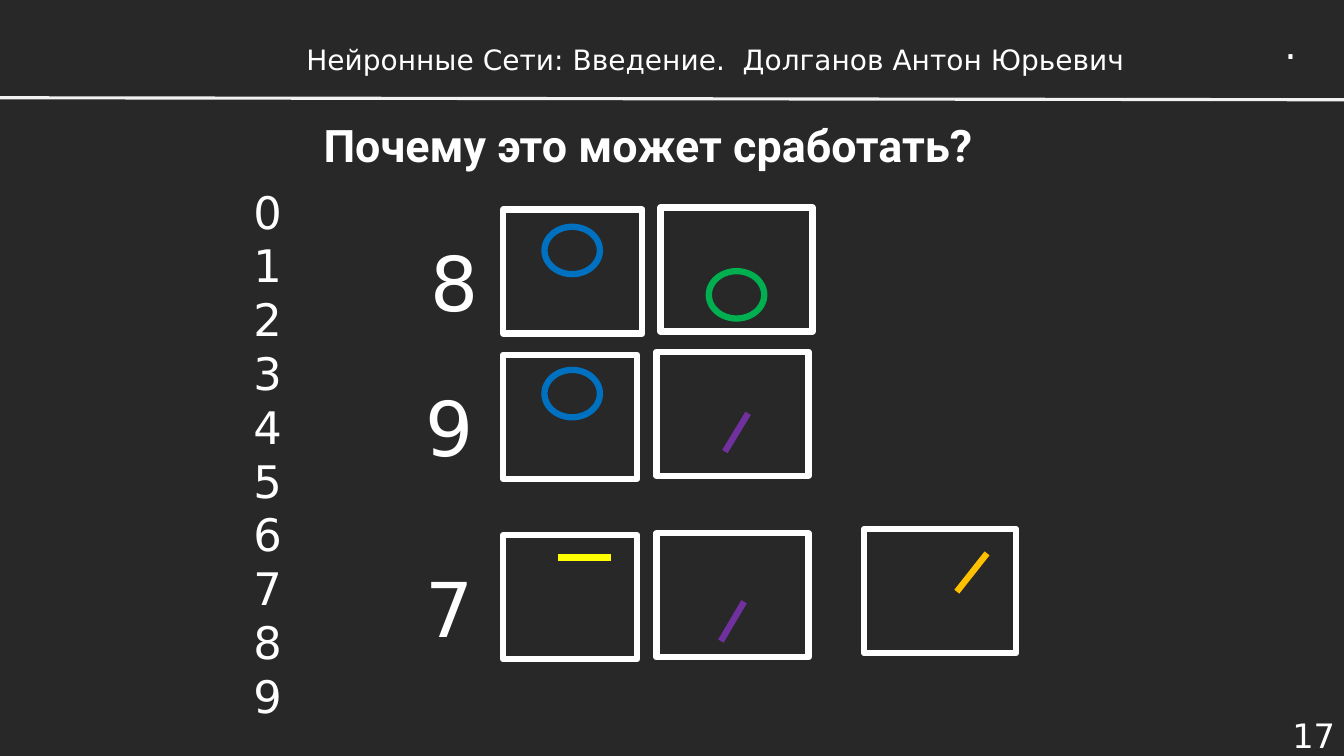
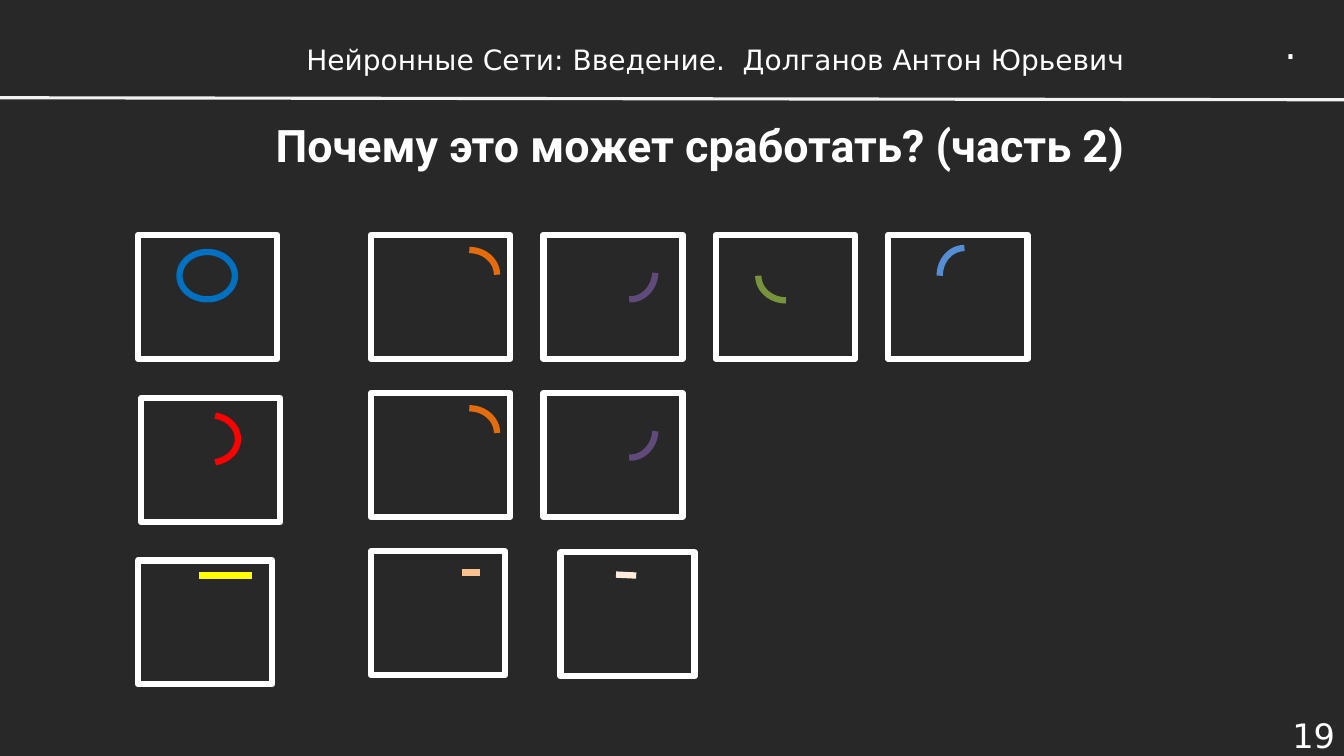
"""Build two slides on how neural networks split digits into simple strokes."""
import dataclasses

import lxml.etree
import pptx
import pptx.dml.color
import pptx.enum.shapes
import pptx.enum.text
import pptx.oxml.ns
import pptx.presentation
import pptx.slide
import pptx.util

RGBColor = pptx.dml.color.RGBColor
Kind = pptx.enum.shapes.MSO_SHAPE
Align = pptx.enum.text.PP_ALIGN
Anchor = pptx.enum.text.MSO_ANCHOR
Fit = pptx.enum.text.MSO_AUTO_SIZE

SCALE = 9144
WIDTH, HEIGHT = 1333, 750
DARK = RGBColor(0x27, 0x28, 0x27)
WHITE = RGBColor(0xFF, 0xFF, 0xFF)
PALE = RGBColor(0xF2, 0xF2, 0xF2)
BLUE = RGBColor(0x00, 0x70, 0xC0)
GREEN = RGBColor(0x00, 0xB0, 0x50)
PURPLE = RGBColor(0x70, 0x30, 0xA0)
YELLOW = RGBColor(0xFF, 0xFF, 0x00)
AMBER = RGBColor(0xFF, 0xC0, 0x00)
RED = RGBColor(0xFF, 0x00, 0x00)
ORANGE = RGBColor(0xE4, 0x6C, 0x0A)
OLIVE = RGBColor(0x77, 0x93, 0x3C)
VIOLET = RGBColor(0x60, 0x4A, 0x7B)
SKY = RGBColor(0x55, 0x8E, 0xD5)
PEACH = RGBColor(0xFA, 0xC0, 0x90)
CREAM = RGBColor(0xFD, 0xEA, 0xDA)

SANS = "DejaVu Sans"
HEAD = "Roboto"
THICK = 4.5
HIGH = 123
SLIM, MID, WIDE = 133, 138, 151
COURSE = "Нейронные Сети: Введение.  Долганов Антон Юрьевич "


@dataclasses.dataclass(frozen=True)
class Label:
    """Text with its box and style."""
    lines: tuple[str, ...]
    x: int
    y: int
    w: int
    h: int
    size: int
    align: Align = Align.CENTER
    font: str = SANS
    bold: bool = False
    wrap: bool = False


@dataclasses.dataclass(frozen=True)
class Shape:
    """Outlined preset shape."""
    kind: Kind
    x: int
    y: int
    w: int
    h: int
    color: RGBColor
    turn: int = 0
    angles: tuple[float, ...] = ()


@dataclasses.dataclass(frozen=True)
class Stroke:
    """Straight line between two points."""
    x1: int
    y1: int
    x2: int
    y2: int
    color: RGBColor
    width: float = THICK


def px(count: int) -> pptx.util.Emu:
    """Turn px into EMU."""
    return pptx.util.Emu(count * SCALE)


def frame(x: int, y: int, w: int) -> Shape:
    """Describe a white frame."""
    return Shape(Kind.RECTANGLE, x, y, w, HIGH, WHITE)


def ring(x: int, y: int, color: RGBColor) -> Shape:
    """Describe a closed loop."""
    return Shape(Kind.OVAL, x, y, 55, 47, color)


def arc(x: int, y: int, color: RGBColor, turn: int = 0) -> Shape:
    """Describe a quarter of a loop."""
    return Shape(Kind.ARC, x, y, 55, 49, color, turn)


def draw_label(slide: pptx.slide.Slide, label: Label) -> None:
    """Draw text, one paragraph a line."""
    box = slide.shapes.add_textbox(px(label.x), px(label.y), px(label.w), px(label.h))
    text = box.text_frame
    text.word_wrap = label.wrap
    text.auto_size = Fit.NONE if label.wrap else Fit.SHAPE_TO_FIT_TEXT
    text.vertical_anchor = Anchor.MIDDLE if label.wrap else Anchor.TOP
    for place, line in enumerate(label.lines):
        para = text.add_paragraph() if place else text.paragraphs[0]
        para.alignment = label.align
        run = para.add_run()
        run.text = line
        run.font.name = label.font
        run.font.size = pptx.util.Pt(label.size)
        run.font.bold = label.bold
        run.font.color.rgb = WHITE


def draw_shape(slide: pptx.slide.Slide, item: Shape) -> None:
    """Draw a shape with no fill."""
    shape = slide.shapes.add_shape(item.kind, px(item.x), px(item.y), px(item.w), px(item.h))
    shape.shadow.inherit = False
    shape.rotation = item.turn
    shape.fill.background()
    shape.line.color.rgb = item.color
    shape.line.width = pptx.util.Pt(THICK)
    for place, angle in enumerate(item.angles):
        shape.adjustments[place] = angle


def draw_stroke(slide: pptx.slide.Slide, item: Stroke) -> None:
    """Draw a line with no shadow."""
    line = slide.shapes.add_connector(
        pptx.enum.shapes.MSO_CONNECTOR.STRAIGHT,
        px(item.x1), px(item.y1), px(item.x2), px(item.y2))
    line.line.color.rgb = item.color
    line.line.width = pptx.util.Pt(item.width)
    lxml.etree.SubElement(line._element.spPr, pptx.oxml.ns.qn("a:effectLst"))


def draw_slide(deck: pptx.presentation.Presentation, title: str, span: int, page: int,
               items: list[Label | Shape | Stroke]) -> None:
    """Add a slide with the shared parts and its own items."""
    slide = deck.slides.add_slide(deck.slide_layouts[6])
    slide.background.fill.solid()
    slide.background.fill.fore_color.rgb = DARK
    shared = [
        Label((title,), 210, 98, span, 91, 32, font=HEAD, bold=True, wrap=True),
        Label((str(page),), 1229, 708, 105, 42, 24, Align.RIGHT, wrap=True),
        Stroke(0, 97, WIDTH, 99, PALE, 2.25),
        Label((".",), 1264, 15, 34, 57, 28, Align.LEFT),
        Label((COURSE,), 155, 44, 1118, 30, 20, wrap=True),
    ]
    tools = {Label: draw_label, Shape: draw_shape, Stroke: draw_stroke}
    for item in shared + items:
        tools[type(item)](slide, item)


def digits() -> list[Label | Shape | Stroke]:
    """List digits and the parts they are made of."""
    marks = [("8", 417, 229), ("9", 412, 373), ("7", 412, 553)]
    return [
        Label(tuple(str(digit) for digit in range(10)), 241, 178, 49, 549, 32),
        *(Label((mark,), x, y, 68, 101, 54) for mark, x, y in marks),
        ring(540, 225, BLUE), ring(703, 269, GREEN),
        frame(499, 208, MID), frame(655, 206, WIDE),
        ring(540, 367, BLUE), frame(499, 352, SLIM), frame(651, 349, WIDE),
        Stroke(742, 410, 719, 448, PURPLE),
        frame(499, 531, SLIM), frame(651, 529, WIDE), frame(857, 525, WIDE),
        Stroke(606, 553, 553, 553, YELLOW),
        Stroke(738, 597, 715, 636, PURPLE),
        Stroke(979, 549, 949, 587, AMBER),
    ]


def parts() -> list[Label | Shape | Stroke]:
    """List parts and the smaller strokes they are made of."""
    items = [frame(368 + 171 * place, y, MID)
             for y, count in ((233, 4), (390, 2)) for place in range(count)]
    for y in (248, 405):
        items += [arc(438, y, ORANGE), arc(598, y - 3, VIOLET, 93)]
    return items + [
        ring(178, 250, BLUE), frame(137, 233, MID),
        arc(752, 249, OLIVE, 180), arc(929, 249, SKY, 270),
        Shape(Kind.ARC, 181, 412, 55, 47, RED, angles=(169.2, 46.8)),
        frame(140, 395, MID),
        frame(137, 556, SLIM), frame(368, 547, SLIM), frame(556, 548, SLIM),
        Stroke(250, 571, 197, 571, YELLOW),
        Stroke(476, 568, 458, 568, PEACH),
        Stroke(631, 571, 611, 570, CREAM),
    ]


def main() -> None:
    """Build and save the deck."""
    deck = pptx.Presentation()
    deck.slide_width, deck.slide_height = px(WIDTH), px(HEIGHT)
    title = "Почему это может сработать?"
    draw_slide(deck, title, 866, 17, digits())
    draw_slide(deck, f"{title} (часть 2)", 969, 19, parts())
    deck.save("out.pptx")


if __name__ == "__main__":
    main()
